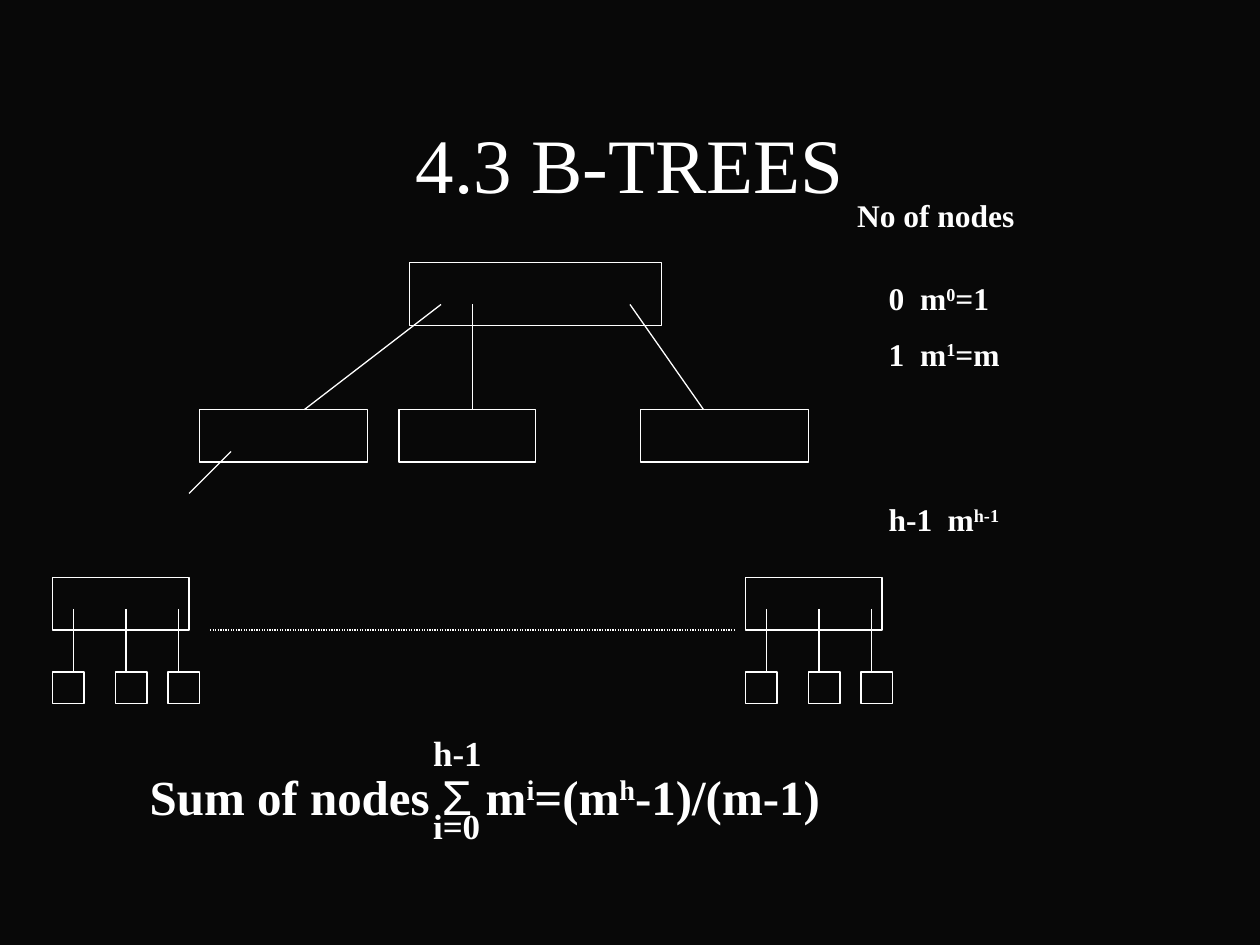
from lxml import etree
from pptx import Presentation
from pptx import util as u
from pptx.dml.color import RGBColor
from pptx.enum import dml, shapes, text
from pptx.oxml.ns import qn

PX = 9525  # 96 px to the inch
WHITE = RGBColor(0xFF, 0xFF, 0xFF)
BLACK = RGBColor(0x08, 0x08, 0x08)
BODY_FONT = {"name": "Times New Roman", "bold": True}
SIGMA_FONT = {"name": "Arial", "bold": False}

presentation = Presentation()
presentation.slide_width, presentation.slide_height = 960 * PX, 720 * PX
slide = presentation.slides.add_slide(presentation.slide_layouts[5])
slide.background.fill.solid()
slide.background.fill.fore_color.rgb = BLACK


def add_line(x1, y1, x2, y2):
    line = slide.shapes.add_connector(
        shapes.MSO_CONNECTOR.STRAIGHT, x1 * PX, y1 * PX, x2 * PX, y2 * PX)
    line.line.color.rgb = WHITE
    line.line.width = u.Pt(0.75)
    etree.SubElement(line._element.spPr, qn("a:effectLst"))
    return line


def add_runs(paragraph, size, pieces):
    """Write pieces of (text, format); "^" as format means superscript."""
    for piece, style in pieces:
        run = paragraph.add_run()
        run.text = piece
        values = SIGMA_FONT if style == "sigma" else BODY_FONT
        for name, value in {**values, "size": u.Pt(size)}.items():
            setattr(run.font, name, value)
        run.font.color.rgb = WHITE
        if style == "^":
            run._r.get_or_add_rPr().set("baseline", "30000")


# Title
title = slide.shapes.title
for name, value in {"left": 72, "top": 64, "width": 816, "height": 120}.items():
    setattr(title, name, value * PX)
title.text_frame.text = "4.3 B-TREES"
title.text_frame.auto_size = text.MSO_AUTO_SIZE.NONE
title.text_frame.vertical_anchor = text.MSO_ANCHOR.MIDDLE
paragraph = title.text_frame.paragraphs[0]
paragraph.alignment = text.PP_ALIGN.CENTER
for name, value in {"name": "Times New Roman", "size": u.Pt(44)}.items():
    setattr(paragraph.font, name, value)
paragraph.font.color.rgb = WHITE

# Tree nodes: root, its children, then two bottom nodes with three leaves each
nodes = [(312, 200, 192, 48), (152, 312, 128, 40), (304, 312, 104, 40), (488, 312, 128, 40)]
for left in (40, 568):
    nodes.append((left, 440, 104, 40))
    nodes += [(left + offset, 512, 24, 24) for offset in (0, 48, 88)]
for left, top, width, height in nodes:
    node = slide.shapes.add_shape(
        shapes.MSO_SHAPE.RECTANGLE, left * PX, top * PX, width * PX, height * PX)
    node.shadow.inherit = False
    node.fill.background()
    node.line.color.rgb = WHITE
    node.line.width = u.Pt(0.75)

# Branches
for ends in [(336, 232, 232, 312), (360, 232, 360, 312), (480, 232, 536, 312),
             (176, 344, 144, 376)]:
    add_line(*ends)
for left in (40, 568):
    for offset in (16, 56, 96):
        add_line(left + offset, 464, left + offset, 512)
add_line(160, 480, 560, 480).line.dash_style = dml.MSO_LINE.ROUND_DOT

# Text boxes: place, size, paragraphs of (space before in pt, tab stop in px, pieces)
boxes = [
    ((648, 144, 224, 36), 18, [(0, 0, [("No of nodes", "")])]),
    ((672, 208, 256, 206), 18, [
        (0, 24, [("0\tm", ""), ("0", "^"), ("=1", "")]),
        (10, 24, [("1\tm", ""), ("1", "^"), ("=m", "")]),
        (73, 45, [("h-1\tm", ""), ("h-1", "^")]),
    ]),
    ((109, 579, 612, 54), 28, [(0, 0, [
        ("Sum of nodes ", ""), ("Σ ", "sigma"), ("m", ""), ("i", "^"),
        ("=(m", ""), ("h", "^"), ("-1)/(m-1)", "")])]),
    ((325, 608, 56, 39), 20, [(0, 0, [("i=0", "")])]),
    ((325, 552, 64, 39), 20, [(0, 0, [("h-1", "")])]),
]
for place, size, paragraphs in boxes:
    frame = slide.shapes.add_textbox(*(value * PX for value in place)).text_frame
    frame.word_wrap = True
    for side in ("left", "top", "right", "bottom"):
        setattr(frame, f"margin_{side}", 5 * PX)
    for index, (space, tab, pieces) in enumerate(paragraphs):
        paragraph = frame.add_paragraph() if index else frame.paragraphs[0]
        if space:
            paragraph.space_before = u.Pt(space)
        if tab:
            tabs = etree.SubElement(paragraph._p.get_or_add_pPr(), qn("a:tabLst"))
            etree.SubElement(tabs, qn("a:tab"), pos=str(tab * PX), algn="l")
        add_runs(paragraph, size, pieces)

presentation.save("out.pptx")
